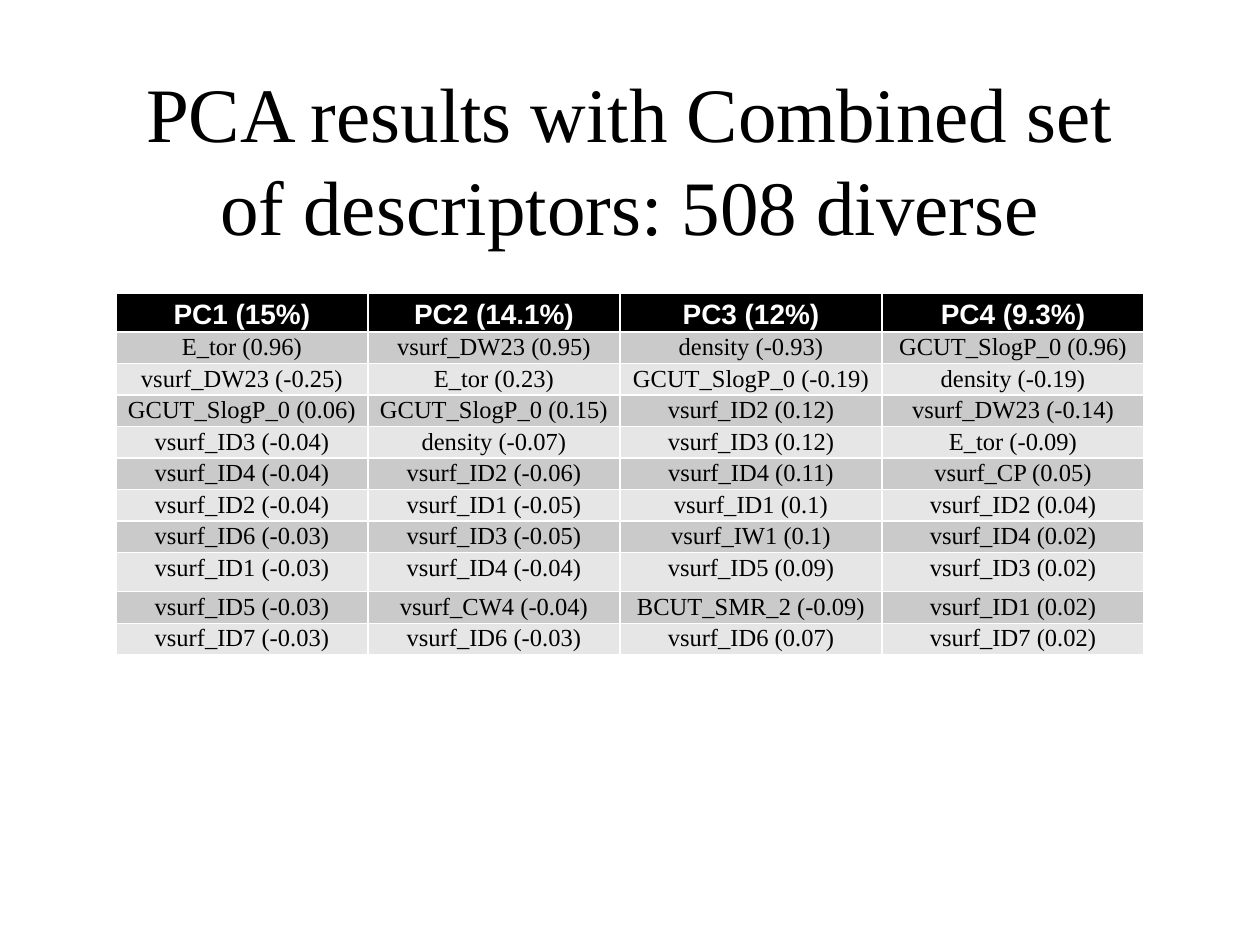
from pptx import Presentation
from pptx.dml.color import RGBColor
from pptx.enum.text import MSO_ANCHOR as Anchor, PP_ALIGN as Align
from pptx.util import Pt

PX = 9144  # 100 px to the inch
BLACK = RGBColor(0x00, 0x00, 0x00)
WHITE = RGBColor(0xFF, 0xFF, 0xFF)
DARK = RGBColor(0xCA, 0xCA, 0xCA)
LIGHT = RGBColor(0xE6, 0xE6, 0xE6)

TITLE = "PCA results with Combined set of descriptors: 508 diverse"
HEADS = ["PC1 (15%)", "PC2 (14.1%)", "PC3 (12%)", "PC4 (9.3%)"]
LOADS = [
    ["E_tor (0.96)", "vsurf_DW23 (0.95)", "density (-0.93)", "GCUT_SlogP_0 (0.96)"],
    ["vsurf_DW23 (-0.25)", "E_tor (0.23)", "GCUT_SlogP_0 (-0.19)", "density (-0.19)"],
    ["GCUT_SlogP_0 (0.06)", "GCUT_SlogP_0 (0.15)", "vsurf_ID2 (0.12)", "vsurf_DW23 (-0.14)"],
    ["vsurf_ID3 (-0.04)", "density (-0.07)", "vsurf_ID3 (0.12)", "E_tor (-0.09)"],
    ["vsurf_ID4 (-0.04)", "vsurf_ID2 (-0.06)", "vsurf_ID4 (0.11)", "vsurf_CP (0.05)"],
    ["vsurf_ID2 (-0.04)", "vsurf_ID1 (-0.05)", "vsurf_ID1 (0.1)", "vsurf_ID2 (0.04)"],
    ["vsurf_ID6 (-0.03)", "vsurf_ID3 (-0.05)", "vsurf_IW1 (0.1)", "vsurf_ID4 (0.02)"],
    ["vsurf_ID1 (-0.03)", "vsurf_ID4 (-0.04)", "vsurf_ID5 (0.09)", "vsurf_ID3 (0.02)"],
    ["vsurf_ID5 (-0.03)", "vsurf_CW4 (-0.04)", "BCUT_SMR_2 (-0.09)", "vsurf_ID1 (0.02)"],
    ["vsurf_ID7 (-0.03)", "vsurf_ID6 (-0.03)", "vsurf_ID6 (0.07)", "vsurf_ID7 (0.02)"],
]
COLS = [200, 200, 208, 208]
ROWS = [25] * 8 + [31] + [25] * 2


class Deck:
    serif = "Times New Roman"
    sans = "Arial"

    def __init__(self, slide):
        self.slide = slide

    def label(self, frame, text, size, face, color, bold=False, space=None):
        """Put one centred run into the first paragraph of a frame."""
        para = frame.paragraphs[0]
        para.alignment = Align.CENTER
        para.line_spacing = space
        run = para.add_run()
        run.text = text
        font = run.font
        font.name, font.size, font.bold = face, Pt(size), bold
        font.color.rgb = color

    def title(self, text, *area):
        box = self.slide.shapes.add_textbox(*(n * PX for n in area))
        frame = box.text_frame
        frame.word_wrap = True
        frame.vertical_anchor = Anchor.MIDDLE
        self.label(frame, text, 44, self.serif, BLACK)

    def cell(self, cell, text, row):
        cell.margin_left = cell.margin_right = 7 * PX
        cell.margin_top = cell.margin_bottom = 0
        cell.fill.solid()
        if row == 0:
            cell.fill.fore_color.rgb = BLACK
            cell.vertical_anchor = Anchor.MIDDLE
            self.label(cell.text_frame, text, 16, self.sans, WHITE, True, 1.15)
        else:
            cell.fill.fore_color.rgb = DARK if row % 2 else LIGHT
            self.label(cell.text_frame, text, 14, self.serif, BLACK, False, 1.07)

    def table(self, data, left, top, cols, rows):
        area = (left, top, sum(cols), sum(rows))
        table = self.slide.shapes.add_table(
            len(rows), len(cols), *(n * PX for n in area)).table
        for col, width in zip(table.columns, cols):
            col.width = width * PX
        for i, (row, height) in enumerate(zip(table.rows, rows)):
            row.height = height * PX
            for cell, text in zip(row.cells, data[i]):
                self.cell(cell, text, i)


def main():
    show = Presentation()
    show.slide_width, show.slide_height = 1000 * PX, 750 * PX
    deck = Deck(show.slides.add_slide(show.slide_layouts[6]))
    deck.title(TITLE, 75, 17, 850, 217)
    deck.table([HEADS] + LOADS, 92, 233, COLS, ROWS)
    show.save("out.pptx")


if __name__ == "__main__":
    main()
